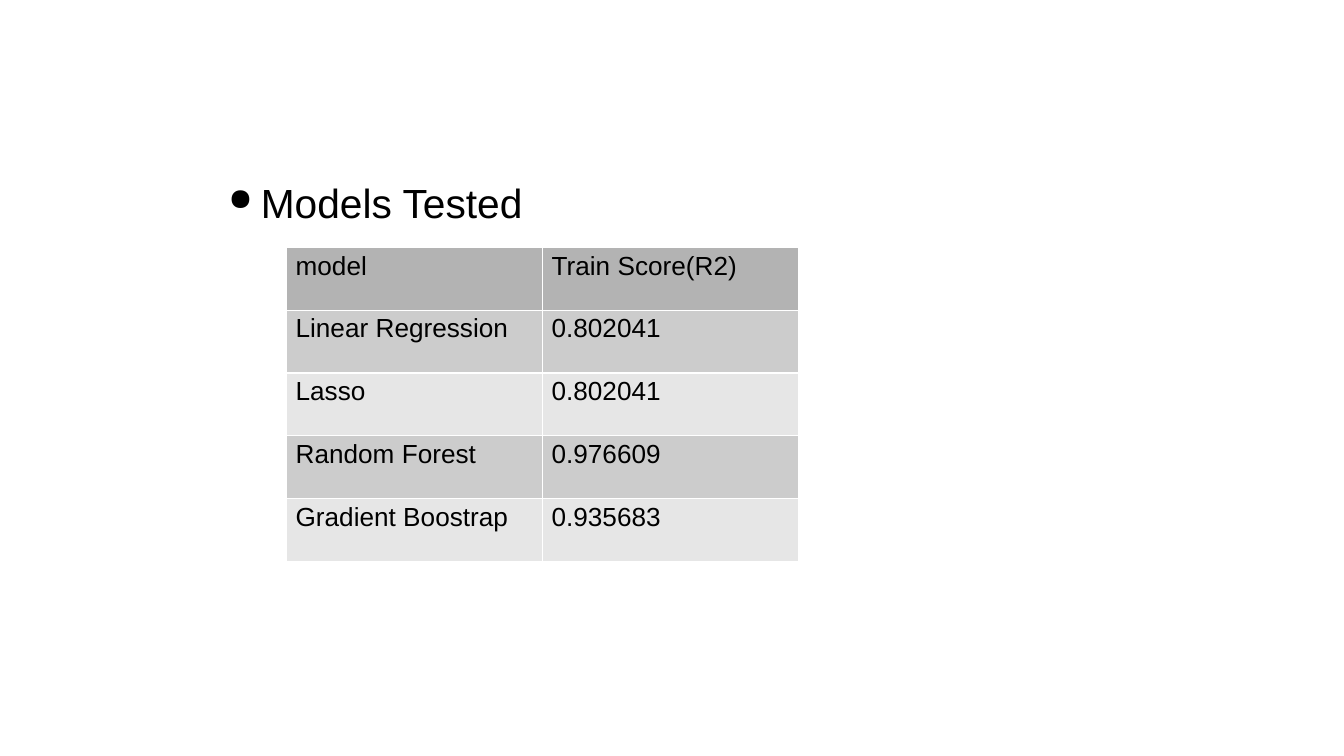
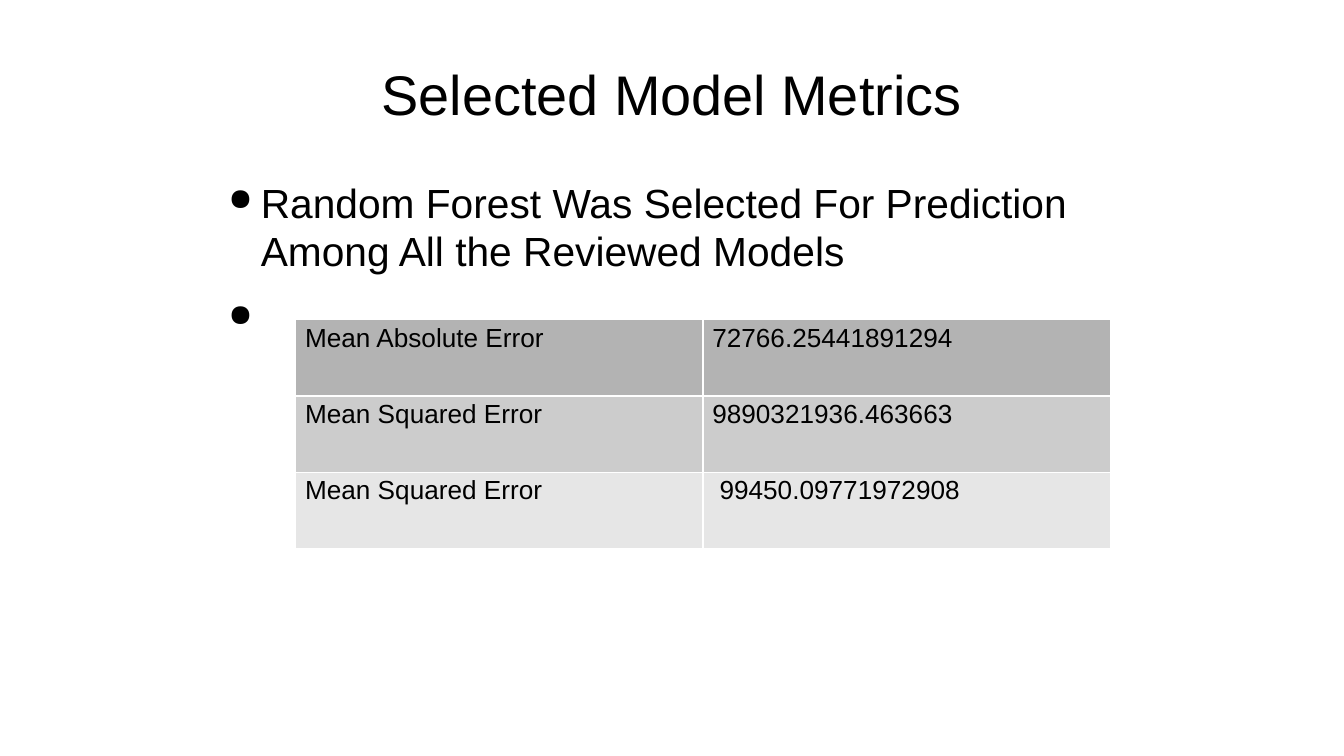
from lxml import etree
from pptx import Presentation
from pptx.dml.color import RGBColor
from pptx.enum.text import MSO_ANCHOR, PP_ALIGN
from pptx.oxml.ns import qn
from pptx.util import Inches, Pt

TOP, MIDDLE = MSO_ANCHOR.TOP, MSO_ANCHOR.MIDDLE
LEFT, CENTER = PP_ALIGN.LEFT, PP_ALIGN.CENTER

BLACK = RGBColor(0x00, 0x00, 0x00)
WHITE = RGBColor(0xFF, 0xFF, 0xFF)
HEADER_GREY = RGBColor(0xB3, 0xB3, 0xB3)
BAND_GREYS = (RGBColor(0xCC, 0xCC, 0xCC), RGBColor(0xE6, 0xE6, 0xE6))

FONT = "Arial"
TITLE_SIZE, BODY_SIZE, CELL_SIZE = 29.9, 21.8, 14
TITLE_AREA = (1.62, 0.22, 6.75, 0.94)
BODY_AREA = (1.62, 1.32, 6.75, 3.26)

PAGES = [
    {
        "title": None,
        "bullets": ["Models Tested"],
        "table_area": (2.13, 1.84, 3.81, 2.34),
        "rows": [
            ("model", "Train Score(R2)"),
            ("Linear Regression", "0.802041"),
            ("Lasso", "0.802041"),
            ("Random Forest", "0.976609"),
            ("Gradient Boostrap", "0.935683"),
        ],
    },
    {
        "title": "Selected Model Metrics",
        "bullets": [
            "Random Forest Was Selected For Prediction Among All the Reviewed Models",
            " ",
        ],
        "table_area": (2.2, 2.38, 6.06, 1.7),
        "rows": [
            ("Mean Absolute Error", "72766.25441891294"),
            ("Mean Squared Error", "9890321936.463663"),
            ("Mean Squared Error", " 99450.09771972908"),
        ],
    },
]


def add_span(para, text, size):
    span = para.add_run()
    span.text = text
    span.font.name = FONT
    span.font.size = Pt(size)
    span.font.color.rgb = BLACK


def add_color(parent, color):
    fill = etree.SubElement(parent, qn("a:solidFill"))
    etree.SubElement(fill, qn("a:srgbClr"), val=str(color))


def add_bullet(para):
    props = para._p.get_or_add_pPr()
    props.set("marL", str(Inches(0.32)))
    props.set("indent", str(Inches(-0.24)))
    color = etree.SubElement(props, qn("a:buClr"))
    etree.SubElement(color, qn("a:srgbClr"), val=str(BLACK))
    etree.SubElement(props, qn("a:buSzPct"), val="75000")
    etree.SubElement(props, qn("a:buChar"), char="●")


def add_text(page, area, lines, size, align=LEFT, anchor=TOP, bulleted=False):
    frame = page.shapes.add_textbox(*map(Inches, area)).text_frame
    frame.word_wrap = True
    frame.vertical_anchor = anchor
    frame.margin_left = frame.margin_right = 0
    frame.margin_top = frame.margin_bottom = 0
    for index, line in enumerate(lines):
        para = frame.add_paragraph() if index else frame.paragraphs[0]
        para.alignment = align
        if index:
            para.space_before = Pt(9.6)
        if bulleted:
            add_bullet(para)
        add_span(para, line, size)


def style_cell(cell, text, color):
    cell.margin_left = cell.margin_right = Inches(0.07)
    cell.margin_top = cell.margin_bottom = Inches(0.03)
    add_span(cell.text_frame.paragraphs[0], text, CELL_SIZE)
    props = cell._tc.get_or_add_tcPr()
    for side in ("a:lnL", "a:lnR", "a:lnT", "a:lnB"):
        border = etree.SubElement(props, qn(side), w=str(Pt(0.75)))
        add_color(border, WHITE)
    cell.fill.solid()
    cell.fill.fore_color.rgb = color


def add_grid(page, area, rows):
    left, top, width, height = map(Inches, area)
    columns = len(rows[0])
    table = page.shapes.add_table(len(rows), columns, left, top, width, height).table
    for column in table.columns:
        column.width = width // columns
    for index, values in enumerate(rows):
        table.rows[index].height = height // len(rows)
        color = BAND_GREYS[(index - 1) % 2] if index else HEADER_GREY
        for position, value in enumerate(values):
            style_cell(table.cell(index, position), value, color)


def main():
    deck = Presentation()
    deck.slide_width = Inches(10)
    deck.slide_height = deck.slide_width * 9 // 16
    blank = deck.slide_layouts[6]
    for content in PAGES:
        page = deck.slides.add_slide(blank)
        page.background.fill.solid()
        page.background.fill.fore_color.rgb = WHITE
        if content["title"]:
            add_text(page, TITLE_AREA, [content["title"]], TITLE_SIZE, CENTER, MIDDLE)
        add_text(page, BODY_AREA, content["bullets"], BODY_SIZE, bulleted=True)
        add_grid(page, content["table_area"], content["rows"])
    deck.save("out.pptx")


if __name__ == "__main__":
    main()
